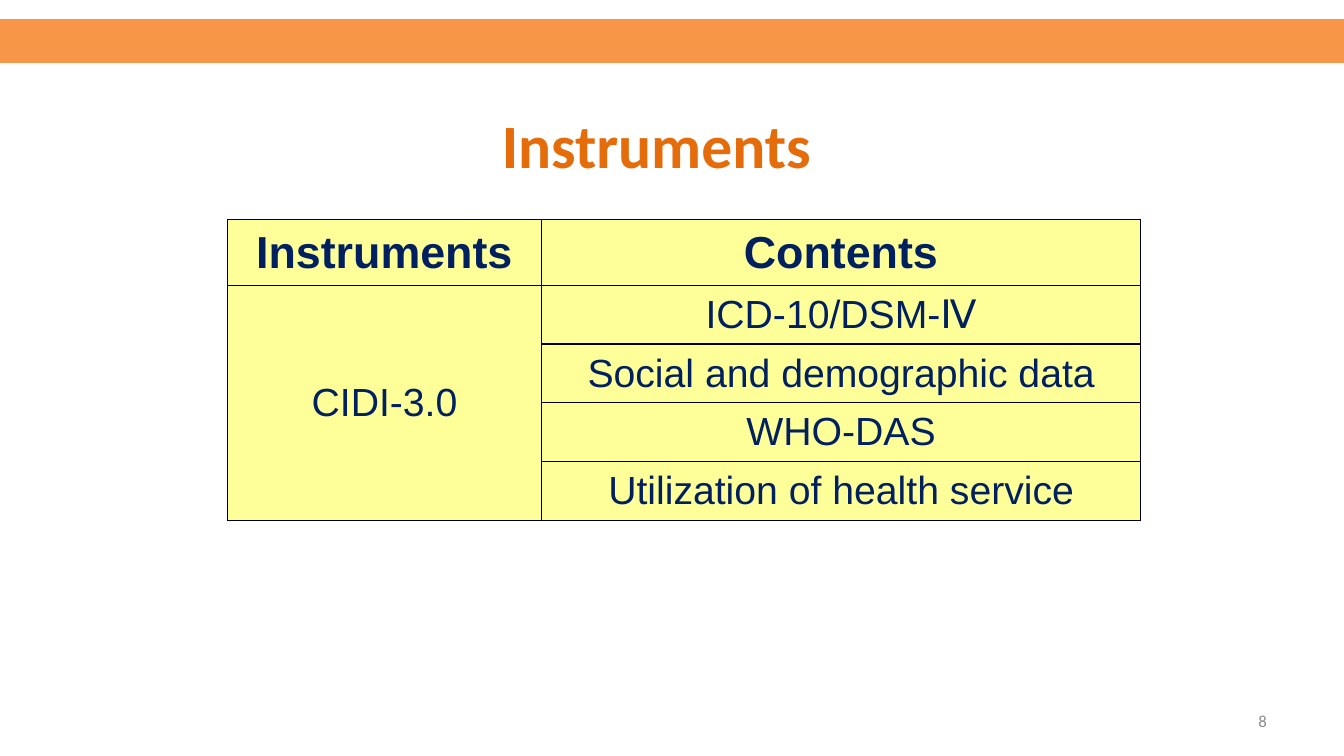
from dataclasses import dataclass

from lxml import etree
from pptx import Presentation
from pptx.dml.color import RGBColor
from pptx.enum.shapes import MSO_SHAPE
from pptx.enum.text import MSO_ANCHOR, PP_ALIGN
from pptx.oxml.ns import qn
from pptx.util import Cm, Pt

RECT = MSO_SHAPE.RECTANGLE
MIDDLE = MSO_ANCHOR.MIDDLE
CENTER, RIGHT = PP_ALIGN.CENTER, PP_ALIGN.RIGHT


@dataclass(frozen=True)
class Theme:
    """Colours, fonts and type sizes of the slide."""
    band: str = "F79646"
    title: str = "E46C0A"
    cell: str = "FFFF99"
    ink: str = "002060"
    border: str = "000000"
    muted: str = "8C8C8C"
    head_font: str = "Calibri"
    table_font: str = "Arial"
    title_size: int = 44
    header_size: int = 32
    body_size: int = 28
    number_size: int = 12


class SlideBuilder:
    """Draws styled elements on the current slide."""

    def __init__(self, s, theme):
        self.s = s
        self.theme = theme

    def add_run(self, tf, text, size, font, color, align, bold=False):
        """Put one styled run into the first paragraph."""
        p = tf.paragraphs[0]
        p.alignment = align
        r = p.add_run()
        r.text = text
        r.font.size = Pt(size)
        r.font.name = font
        r.font.bold = bold
        r.font.color.rgb = RGBColor.from_string(color)
        return p

    def band(self, x, y, w, h):
        """Add the coloured band across the slide."""
        sp = self.s.shapes.add_shape(RECT, Cm(x), Cm(y), Cm(w), Cm(h))
        sp.shadow.inherit = False
        color = RGBColor.from_string(self.theme.band)
        sp.fill.solid()
        sp.fill.fore_color.rgb = color
        sp.line.color.rgb = color
        sp.line.width = Pt(3)

    def text(self, x, y, w, h, text, size, color, align, bold=False):
        """Add a vertically centred text box."""
        tf = self.s.shapes.add_textbox(Cm(x), Cm(y), Cm(w), Cm(h)).text_frame
        tf.word_wrap = True
        tf.vertical_anchor = MIDDLE
        return self.add_run(tf, text, size, self.theme.head_font, color, align, bold)

    def borders(self, cell):
        """Draw a thin line on all four sides of a cell."""
        tcPr = cell._tc.get_or_add_tcPr()
        for side in ("a:lnL", "a:lnR", "a:lnT", "a:lnB"):
            ln = etree.SubElement(tcPr, qn(side), w=str(Pt(1)))
            fill = etree.SubElement(ln, qn("a:solidFill"))
            etree.SubElement(fill, qn("a:srgbClr"), val=self.theme.border)

    def table(self, x, y, widths, heights, rows):
        """Add a table whose first column merges below the header."""
        t = self.theme
        table = self.s.shapes.add_table(
            len(heights), len(widths), Cm(x), Cm(y),
            Cm(sum(widths)), Cm(sum(heights))).table
        table.first_row = table.horz_banding = False
        for column, width in zip(table.columns, widths):
            column.width = Cm(width)
        for row, height in zip(table.rows, heights):
            row.height = Cm(height)
        table.cell(1, 0).merge(table.cell(len(heights) - 1, 0))
        for i, row in enumerate(rows):
            for j, text in enumerate(row):
                cell = table.cell(i, j)
                self.borders(cell)
                cell.fill.solid()
                cell.fill.fore_color.rgb = RGBColor.from_string(t.cell)
                cell.vertical_anchor = MIDDLE
                if text:
                    size = t.body_size if i else t.header_size
                    self.add_run(cell.text_frame, text, size, t.table_font,
                                 t.ink, CENTER, bold=i == 0)


def main():
    """Build the slide and save it."""
    prs = Presentation()
    prs.slide_width, prs.slide_height = Cm(33.87), Cm(19.05)
    theme = Theme()
    slide = SlideBuilder(prs.slides.add_slide(prs.slide_layouts[6]), theme)

    slide.band(0, 0.53, 33.87, 1)
    slide.table(5.74, 5.54, [7.9, 15.11], [1.65] + [1.48] * 4, [
        ("Instruments", "Contents"),
        ("CIDI-3.0", "ICD-10/DSM-Ⅳ"),
        ("", "Social and demographic data"),
        ("", "WHO-DAS"),
        ("", "Utilization of health service"),
    ])
    slide.text(24.28, 17.65, 7.9, 1.02, "8", theme.number_size, theme.muted, RIGHT)
    p = slide.text(10.98, 2.46, 11.13, 2.57, "Instruments", theme.title_size,
                   theme.title, CENTER, bold=True)
    p.line_spacing = 0.9

    prs.save("out.pptx")


if __name__ == "__main__":
    main()
